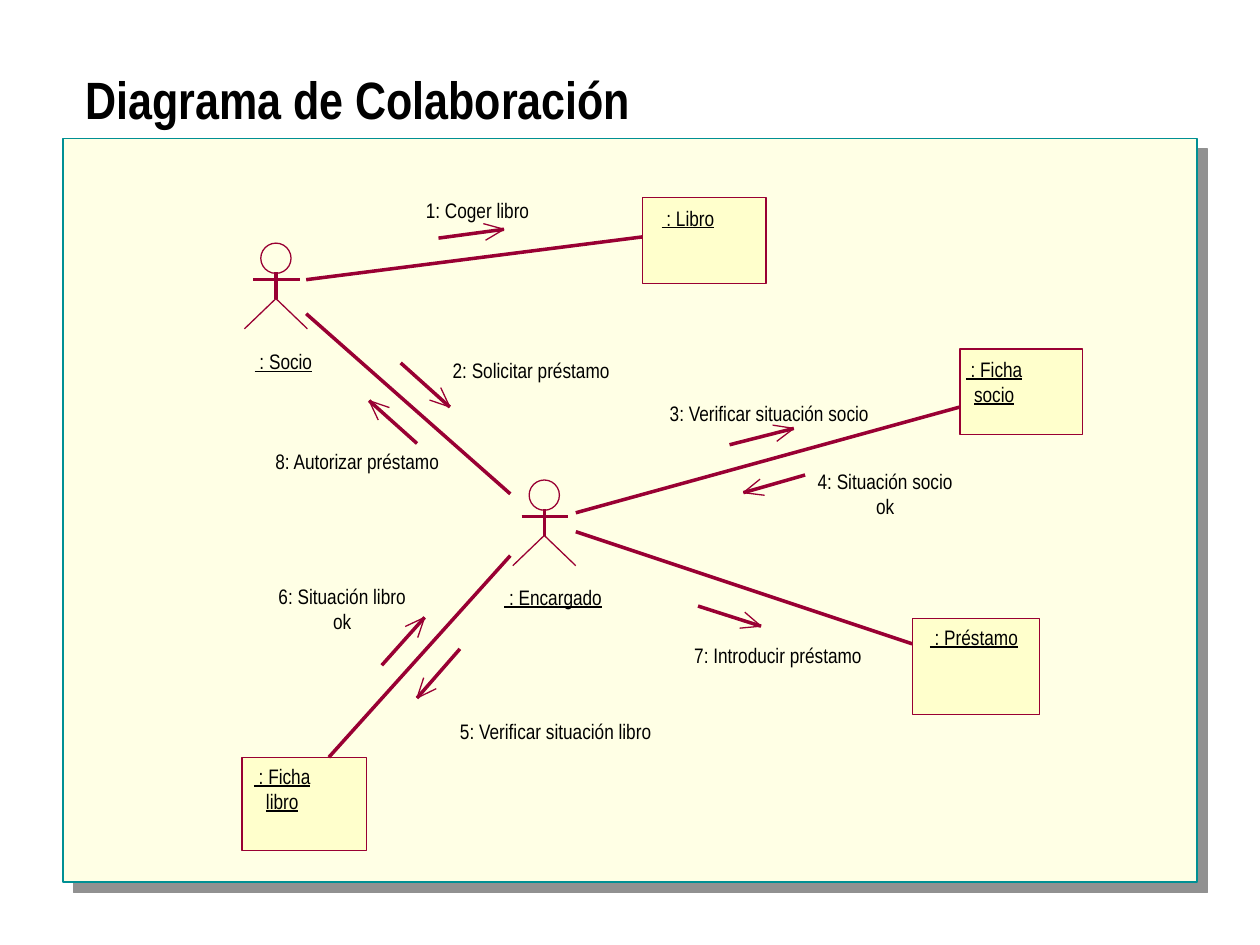
"""Build the collaboration diagram slide for a library loan."""
import math
from typing import NamedTuple

from lxml import etree
from pptx import Presentation
from pptx.dml.color import RGBColor
from pptx.enum.shapes import MSO_CONNECTOR, MSO_SHAPE
from pptx.enum.text import MSO_ANCHOR, PP_ALIGN
from pptx.oxml.ns import qn
from pptx.util import Emu, Inches, Pt

RECTANGLE, ELLIPSE = MSO_SHAPE.RECTANGLE, MSO_SHAPE.OVAL
STRAIGHT = MSO_CONNECTOR.STRAIGHT
LEFT, CENTER = PP_ALIGN.LEFT, PP_ALIGN.CENTER
TOP = MSO_ANCHOR.TOP

BLACK = RGBColor(0x00, 0x00, 0x00)
CRIMSON = RGBColor(0x99, 0x00, 0x33)
TEAL = RGBColor(0x00, 0x90, 0x94)
IVORY = RGBColor(0xFF, 0xFF, 0xE5)
CREAM = RGBColor(0xFF, 0xFF, 0xCC)
GRAY = RGBColor(0x91, 0x91, 0x91)

FONT = "Arial Narrow"
COLUMNS, ROWS = 10, 7.5
CELL = Inches(1)
HAIRLINE, BARB_LINE = 0, 0.75
BARB_LENGTH, BARB_ANGLE = 0.17, math.radians(23)
LABEL_HEIGHT = 0.2


class Point(NamedTuple):
    column: float
    row: float


class Box(NamedTuple):
    column: float
    row: float
    width: float
    height: float


class Label(NamedTuple):
    text: str
    column: float
    row: float
    width: float


class Actor(NamedTuple):
    origin: Point
    label: Label


class Entity(NamedTuple):
    box: Box
    label: Label
    wrap: bool = False


class Message(NamedTuple):
    label: Label
    start: Point
    tip: Point


ACTORS = [
    Actor(Point(1.94, 1.93), Label(" : Socio", 2.02, 2.77, 0.46)),
    Actor(Point(4.07, 3.81), Label(" : Encargado", 4, 4.64, 0.78)),
]
ENTITIES = [
    Entity(Box(5.1, 1.57, 0.98, 0.68), Label(" : Libro", 5.25, 1.63, 0.42)),
    Entity(Box(1.92, 6.01, 0.99, 0.74), Label(" : Ficha libro", 1.99, 6.06, 0.5), True),
    Entity(Box(7.62, 2.77, 0.97, 0.68), Label(" : Ficha socio", 7.64, 2.83, 0.5), True),
    Entity(Box(7.24, 4.91, 1.01, 0.76), Label(" : Préstamo", 7.38, 4.96, 0.7)),
]
LINKS = [
    (Point(2.43, 2.22), Point(5.1, 1.88)),
    (Point(2.43, 2.49), Point(4.05, 3.92)),
    (Point(4.57, 4.07), Point(7.62, 3.23)),
    (Point(4.05, 4.41), Point(2.61, 6.01)),
    (Point(4.57, 4.22), Point(7.24, 5.11)),
]
MESSAGES = [
    Message(Label("1: Coger libro", 3.38, 1.57, 0.82), Point(3.48, 1.89), Point(4, 1.82)),
    Message(Label("2: Solicitar préstamo", 3.59, 2.84, 1.25), Point(3.18, 2.88), Point(3.57, 3.23)),
    Message(Label("8: Autorizar préstamo", 2.18, 3.56, 1.31), Point(3.31, 3.52), Point(2.93, 3.18)),
    Message(Label("3: Verificar situación socio", 5.31, 3.18, 1.59), Point(5.79, 3.53), Point(6.3, 3.4)),
    Message(Label("4: Situación socio ok", 6.4, 3.72, 1.25), Point(6.39, 3.77), Point(5.9, 3.91)),
    Message(Label("5: Verificar situación libro", 3.65, 5.7, 1.52), Point(3.65, 5.15), Point(3.31, 5.54)),
    Message(Label("6: Situación libro ok", 2.12, 4.63, 1.19), Point(3.03, 5.28), Point(3.37, 4.9)),
    Message(Label("7: Introducir préstamo", 5.51, 5.1, 1.33), Point(5.54, 4.81), Point(6.04, 4.97)),
]


def grid(*lengths: float) -> list[Emu]:
    """Convert grid lengths to slide units."""
    return [Emu(round(length * CELL)) for length in lengths]


def draw_shape(slide, kind, box: Box, fill=None, line=CRIMSON, width: float = HAIRLINE):
    """Draw a preset shape without a shadow."""
    shape = slide.shapes.add_shape(kind, *grid(*box))
    style_outline(shape, fill, line, width)
    return shape


def style_outline(shape, fill, line, width: float) -> None:
    """Set the fill and line of a shape and remove its shadow."""
    shape.shadow.inherit = False
    if fill is None:
        shape.fill.background()
    else:
        shape.fill.solid()
        shape.fill.fore_color.rgb = fill
    shape.line.color.rgb = line
    shape.line.width = Pt(width)


def draw_line(slide, start: Point, end: Point, width: float = HAIRLINE) -> None:
    """Draw a straight crimson connector."""
    connector = slide.shapes.add_connector(STRAIGHT, *grid(*start, *end))
    connector.line.color.rgb = CRIMSON
    connector.line.width = Pt(width)
    etree.SubElement(connector._element.spPr, qn("a:effectLst"))


def draw_text(slide, text: str, box: Box, *, size=12, bold=False, underline=False,
              align=CENTER, wrap=False, inset=(0, 0), spacing=1.0) -> None:
    """Draw a text box with one formatted paragraph."""
    frame = slide.shapes.add_textbox(*grid(*box)).text_frame
    frame.word_wrap = wrap
    frame.vertical_anchor = TOP
    frame.margin_left = frame.margin_right = Inches(inset[0])
    frame.margin_top = frame.margin_bottom = Inches(inset[1])
    paragraph = frame.paragraphs[0]
    paragraph.alignment = align
    paragraph.line_spacing = spacing
    run = paragraph.add_run()
    run.text = text
    run.font.name = FONT
    run.font.size = Pt(size)
    run.font.bold = bold
    run.font.underline = underline
    run.font.color.rgb = BLACK


def draw_label(slide, label: Label, *, underline=False, wrap=False) -> None:
    """Draw a diagram label."""
    box = Box(label.column, label.row, label.width, LABEL_HEIGHT)
    draw_text(slide, label.text, box, underline=underline, wrap=wrap)


def draw_panel(slide) -> None:
    """Draw the framed panel with its hard shadow."""
    panel = draw_shape(slide, RECTANGLE, Box(0.5, 1.1, COLUMNS - 1, 5.9), IVORY, TEAL, 1)
    effects = panel._element.spPr.find(qn("a:effectLst"))
    shadow = etree.SubElement(effects, qn("a:outerShdw"), blurRad="0", dist=str(Pt(8.5)),
                              dir="2700000", algn="ctr", rotWithShape="0")
    etree.SubElement(shadow, qn("a:srgbClr"), val=str(GRAY))


def draw_actor(slide, actor: Actor) -> None:
    """Draw a stick figure and its name."""
    column, row = actor.origin
    middle, hip, foot = column + 0.25, row + 0.44, row + 0.68
    draw_shape(slide, ELLIPSE, Box(column + 0.13, row, 0.24, 0.24))
    draw_line(slide, Point(middle, row + 0.23), Point(middle, hip))
    draw_line(slide, Point(column + 0.07, row + 0.29), Point(column + 0.44, row + 0.29))
    builder = slide.shapes.build_freeform(*grid(column, foot))
    builder.add_line_segments([grid(middle, hip), grid(column + 0.5, foot)], close=False)
    style_outline(builder.convert_to_shape(), None, CRIMSON, HAIRLINE)
    draw_label(slide, actor.label, underline=True)


def draw_message(slide, message: Message) -> None:
    """Draw an open arrow and the text of its message."""
    start, tip = message.start, message.tip
    draw_line(slide, start, tip)
    back = math.atan2(start.row - tip.row, start.column - tip.column)
    for angle in (back - BARB_ANGLE, back + BARB_ANGLE):
        end = Point(tip.column + BARB_LENGTH * math.cos(angle),
                    tip.row + BARB_LENGTH * math.sin(angle))
        draw_line(slide, tip, end, BARB_LINE)
    draw_label(slide, message.label)


def main() -> None:
    """Build and save the presentation."""
    presentation = Presentation()
    presentation.slide_width, presentation.slide_height = grid(COLUMNS, ROWS)
    slide = presentation.slides.add_slide(presentation.slide_layouts[6])
    draw_panel(slide)
    for actor in ACTORS:
        draw_actor(slide, actor)
    for entity in ENTITIES:
        draw_shape(slide, RECTANGLE, entity.box, CREAM)
        draw_label(slide, entity.label, underline=True, wrap=entity.wrap)
    for start, end in LINKS:
        draw_line(slide, start, end)
    for message in MESSAGES:
        draw_message(slide, message)
    draw_text(slide, "Diagrama de Colaboración", Box(0.58, 0.58, 8.83, 0.5), size=30,
              bold=True, align=LEFT, wrap=True, inset=(0.1, 0.05), spacing=0.8)
    presentation.save("out.pptx")


if __name__ == "__main__":
    main()
